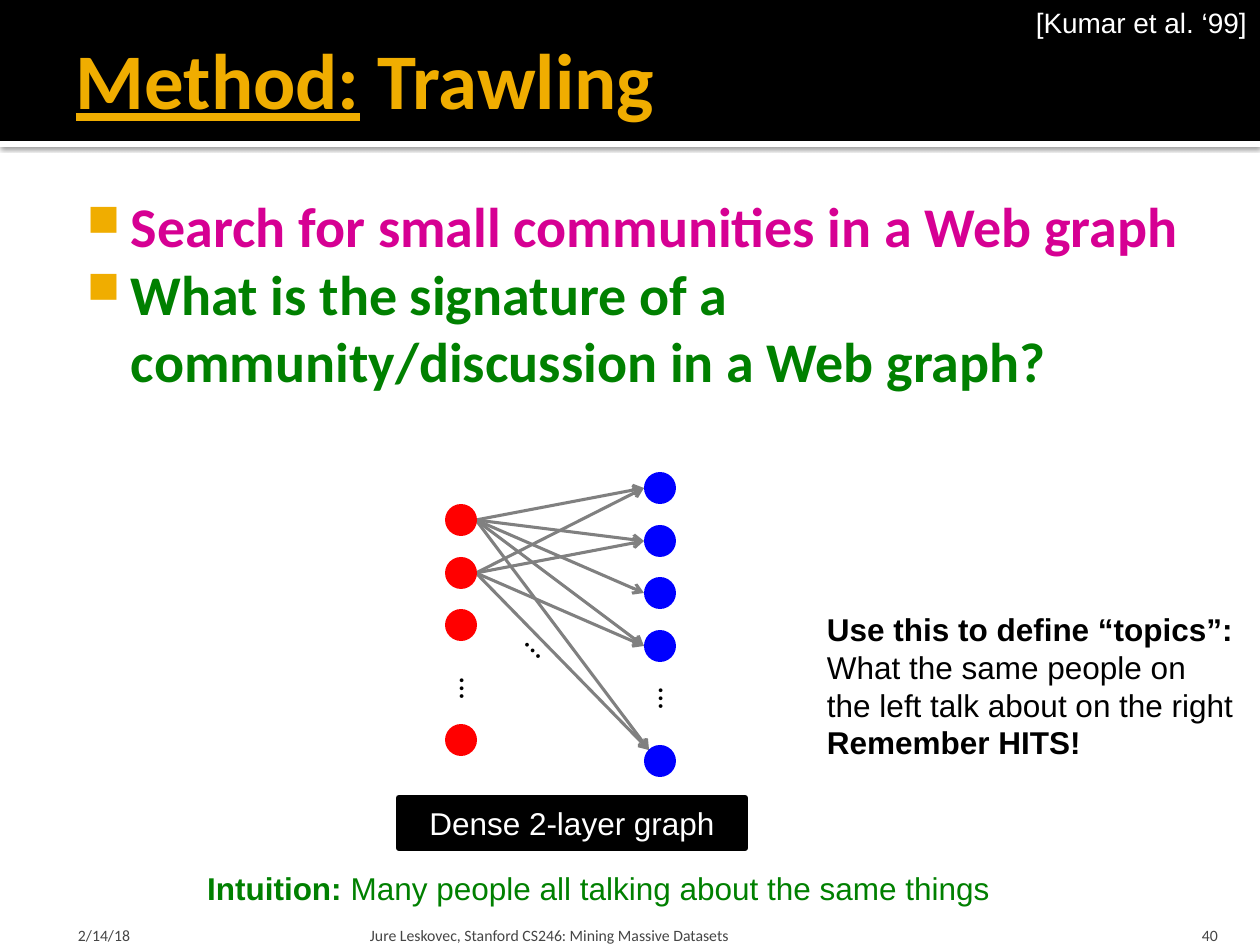
from lxml import etree
from pptx import Presentation
from pptx.dml.color import RGBColor
from pptx.enum.shapes import MSO_CONNECTOR, MSO_SHAPE
from pptx.enum.text import MSO_ANCHOR, MSO_AUTO_SIZE, PP_ALIGN
from pptx.oxml import parse_xml
from pptx.oxml.ns import qn
from pptx.util import Pt

RECTANGLE, OVAL = MSO_SHAPE.RECTANGLE, MSO_SHAPE.OVAL
STRAIGHT = MSO_CONNECTOR.STRAIGHT
TOP, MIDDLE, BOTTOM = MSO_ANCHOR.TOP, MSO_ANCHOR.MIDDLE, MSO_ANCHOR.BOTTOM
LEFT, CENTER, RIGHT = PP_ALIGN.LEFT, PP_ALIGN.CENTER, PP_ALIGN.RIGHT
NO_FIT, GROW = MSO_AUTO_SIZE.NONE, MSO_AUTO_SIZE.SHAPE_TO_FIT_TEXT

BLACK = RGBColor(0x00, 0x00, 0x00)
WHITE = RGBColor(0xFF, 0xFF, 0xFF)
GOLD = RGBColor(0xF0, 0xAD, 0x00)
MAGENTA = RGBColor(0xD6, 0x00, 0x93)
GREEN = RGBColor(0x00, 0x80, 0x00)
RED = RGBColor(0xFF, 0x00, 0x00)
BLUE = RGBColor(0x00, 0x00, 0xFF)
GRAY = RGBColor(0x80, 0x80, 0x80)
FOOTER_GRAY = RGBColor(0x45, 0x45, 0x45)

DRAWING_NS = "http://schemas.openxmlformats.org/drawingml/2006/main"
NODE_SIZE = 32
NODE_RADIUS = NODE_SIZE // 2
LEFT_X, RIGHT_X = 445, 644
LEFT_YS = [504 + offset for offset in (0, 53, 105, 220)]
RIGHT_YS = [472 + offset for offset in (0, 53, 105, 158, 273)]
EDGES = {0: (0, 1, 2, 3, 4), 1: (0, 1, 3, 4)}


def px(length):
    """Turn pixels at 126 to the inch into EMU."""
    return round(length * 914400 / 126)


def format_frame(frame, anchor=TOP, insets=(13, 6, 13, 6), wrap=True, fit=NO_FIT):
    """Set the layout of a text frame."""
    frame.word_wrap = wrap
    frame.auto_size = fit
    frame.vertical_anchor = anchor
    (frame.margin_left, frame.margin_top,
     frame.margin_right, frame.margin_bottom) = map(px, insets)


def add_run(paragraph, text, size, font, color, bold=False, underline=False):
    """Append one formatted run."""
    run = paragraph.add_run()
    run.text = text
    run.font.size = Pt(size)
    run.font.name = font
    run.font.color.rgb = color
    run.font.bold = bold
    run.font.underline = underline


def add_text(slide, box, text, size, font, color, align=LEFT, rotation=0, **layout):
    """Add a text box with one run and return its paragraph."""
    shape = slide.shapes.add_textbox(*map(px, box))
    shape.rotation = rotation
    format_frame(shape.text_frame, **layout)
    paragraph = shape.text_frame.paragraphs[0]
    paragraph.alignment = align
    add_run(paragraph, text, size, font, color)
    return paragraph


def add_solid(slide, kind, box, color):
    """Add a filled shape without outline or shadow."""
    shape = slide.shapes.add_shape(kind, *map(px, box))
    shape.shadow.inherit = False
    shape.fill.solid()
    shape.fill.fore_color.rgb = color
    shape.line.fill.background()
    return shape


def add_header(slide):
    """Add the black header, its shadowed strip and the title."""
    strip = add_solid(slide, RECTANGLE, (0, 141, 1260, 6), WHITE)
    effects = strip.element.spPr.find(qn("a:effectLst"))
    effects.append(parse_xml(
        f'<a:outerShdw xmlns:a="{DRAWING_NS}" blurRad="{Pt(2.5)}" dist="{Pt(0.8)}"'
        ' dir="5400000" algn="tl" rotWithShape="0"><a:srgbClr val="000000">'
        '<a:alpha val="60000"/></a:srgbClr></a:outerShdw>'))
    header = add_solid(slide, RECTANGLE, (0, 0, 1260, 141), BLACK)
    title = slide.shapes.title
    header.element.addnext(title.element)
    title.left, title.top, title.width, title.height = map(px, (63, 10, 1134, 136))
    format_frame(title.text_frame, MIDDLE, (13, 6, 6, 6))
    paragraph = title.text_frame.paragraphs[0]
    paragraph.alignment = LEFT
    add_run(paragraph, "Method:", 45, "Calibri", GOLD, bold=True, underline=True)
    add_run(paragraph, " Trawling", 45, "Calibri", GOLD, bold=True)


def add_bullet(paragraph):
    """Give a paragraph a hanging gold square."""
    properties = paragraph._p.get_or_add_pPr()
    properties.set("marL", str(px(60)))
    properties.set("indent", str(-px(44)))
    color = etree.SubElement(properties, qn("a:buClr"))
    etree.SubElement(color, qn("a:srgbClr"), val=str(GOLD))
    etree.SubElement(properties, qn("a:buSzPct"), val="80000")
    etree.SubElement(properties, qn("a:buChar"), char="■")


def add_body(slide):
    """Add the two bulleted statements."""
    frame = slide.shapes.add_textbox(*map(px, (63, 179, 1134, 725))).text_frame
    format_frame(frame, insets=(8, 13, 13, 6))
    statements = (
        ("Search for small communities in a Web graph", MAGENTA),
        ("What is the signature of a community/discussion in a Web graph?", GREEN),
    )
    for index, (text, color) in enumerate(statements):
        paragraph = frame.add_paragraph() if index else frame.paragraphs[0]
        add_bullet(paragraph)
        add_run(paragraph, text, 32, "Calibri", color, bold=True)


def add_arrow(slide, start, end):
    """Add a gray line with an open arrowhead at its end."""
    arrow = slide.shapes.add_connector(STRAIGHT, *map(px, (*start, *end)))
    arrow.line.color.rgb = GRAY
    arrow.line.width = Pt(1.75)
    etree.SubElement(arrow.line._get_or_add_ln(), qn("a:tailEnd"), type="arrow")
    etree.SubElement(arrow.element.spPr, qn("a:effectLst"))


def add_graph(slide):
    """Add the edges, nodes and ellipses of the two-layer graph."""
    for source, targets in EDGES.items():
        start = (LEFT_X + NODE_SIZE - 1, LEFT_YS[source] + NODE_RADIUS)
        for target in targets:
            y = RIGHT_YS[target]
            is_last = target == len(RIGHT_YS) - 1
            end = (RIGHT_X + 5, y + 5) if is_last else (RIGHT_X, y + NODE_RADIUS)
            add_arrow(slide, start, end)
    for x, ys, color in ((LEFT_X, LEFT_YS, RED), (RIGHT_X, RIGHT_YS, BLUE)):
        for y in ys:
            add_solid(slide, OVAL, (x, y, NODE_SIZE, NODE_SIZE), color)
    for x, y, rotation in ((426, 662, 270), (625, 672, 270), (499, 633, 225.9)):
        add_text(slide, (x, y, 50, 50), "…", 18, "Calibri", BLACK,
                 rotation=rotation, wrap=False, fit=GROW)


def add_graph_label(slide):
    """Add the black label under the graph."""
    label = add_solid(slide, RECTANGLE, (399, 798, 346, 50), BLACK)
    label.line.color.rgb = BLACK
    label.line.width = Pt(3.78)
    format_frame(label.text_frame, fit=GROW)
    paragraph = label.text_frame.paragraphs[0]
    paragraph.alignment = CENTER
    add_run(paragraph, "Dense 2-layer graph", 18, "Arial", WHITE)


def add_remarks(slide):
    """Add the citation, the intuition and the note on topics."""
    add_text(slide, (1021, 0, 239, 47), "[Kumar et al. ‘99]", 16, "Arial", WHITE,
             RIGHT, wrap=False, fit=GROW)
    intuition = add_text(slide, (147, 863, 903, 50), "Intuition:", 18, "Arial",
                         GREEN, CENTER, fit=GROW)
    intuition.runs[0].font.bold = True
    add_run(intuition, " Many people all talking about the same things",
            18, "Arial", GREEN)

    frame = slide.shapes.add_textbox(*map(px, (814, 604, 436, 165))).text_frame
    format_frame(frame, wrap=False, fit=GROW)
    add_run(frame.paragraphs[0], "Use this to define “topics”:", 18, "Arial", BLACK,
            bold=True)
    explanation = frame.add_paragraph()
    add_run(explanation, "What the same people on ", 18, "Arial", BLACK)
    explanation.add_line_break()
    add_run(explanation, "the left talk about on the right", 18, "Arial", BLACK)
    add_run(frame.add_paragraph(), "Remember HITS!", 18, "Arial", BLACK, bold=True)


def add_footer(slide):
    """Add the date, course and slide number."""
    items = (
        (63, 294, "2/14/18", LEFT, (15, 6, 6, 0)),
        (364, 759, "Jure Leskovec, Stanford CS246: Mining Massive Datasets",
         LEFT, (6, 6, 6, 0)),
        (1130, 101, "40", RIGHT, (13, 6, 13, 0)),
    )
    for x, width, text, align, insets in items:
        add_text(slide, (x, 907, width, 38), text, 9, "Calibri", FOOTER_GRAY, align,
                 anchor=BOTTOM, insets=insets)


def main():
    """Build and save the slide."""
    presentation = Presentation()
    presentation.slide_width, presentation.slide_height = px(1260), px(945)
    slide = presentation.slides.add_slide(presentation.slide_layouts[5])
    add_header(slide)
    add_body(slide)
    add_footer(slide)
    add_graph_label(slide)
    add_graph(slide)
    add_remarks(slide)
    presentation.save("out.pptx")


if __name__ == "__main__":
    main()
